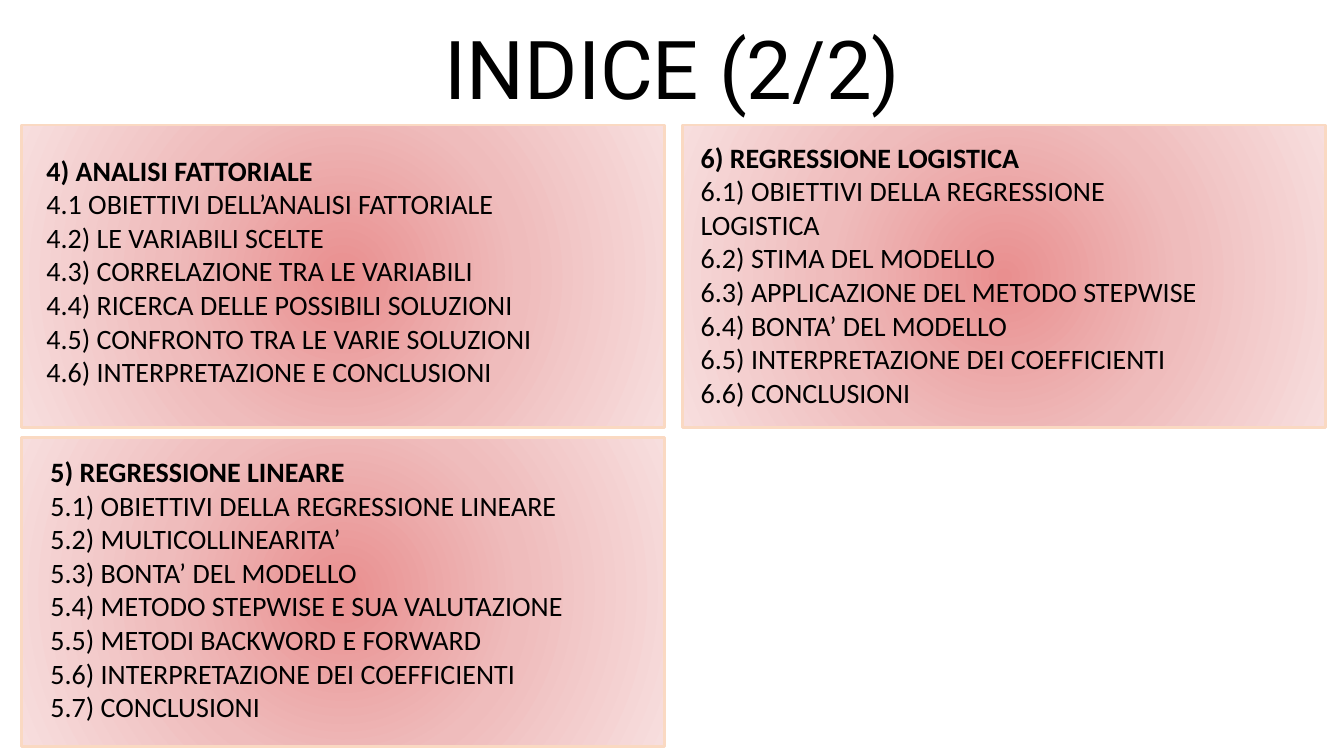
from dataclasses import dataclass

from lxml import etree
from pptx import Presentation
from pptx.dml.color import RGBColor
from pptx.enum import shapes, text
from pptx.oxml import parse_xml
from pptx.util import Inches, Pt

DRAWING_NS = 'xmlns:a="http://schemas.openxmlformats.org/drawingml/2006/main"'


@dataclass(frozen=True)
class Theme:
    ink: RGBColor = RGBColor(0, 0, 0)
    border: RGBColor = RGBColor.from_string("FAD9C2")
    glow: tuple = ((0, "E98F8F"), (50, "EFBCBC"), (100, "F7DEDE"))
    title_font: str = "Roboto"
    body_font: str = "Calibri"
    title_size: Pt = Pt(58)
    body_size: Pt = Pt(20)
    border_width: Pt = Pt(2)


THEME = Theme()
INSET = 0.05
PANEL_WIDTH = 6.38
LEFT, RIGHT = 0.21, 6.77
TOP, BOTTOM = 1.24, 4.34

# Panel box, text offset inside it, text size, lines (heading first)
CHAPTERS = [
    ((LEFT, TOP, PANEL_WIDTH, 3), (0.2, 0.23), (6.28, 2.5), [
        "4) ANALISI FATTORIALE",
        "4.1 OBIETTIVI DELL’ANALISI FATTORIALE",
        "4.2) LE VARIABILI SCELTE",
        "4.3) CORRELAZIONE TRA LE VARIABILI",
        "4.4) RICERCA DELLE POSSIBILI SOLUZIONI",
        "4.5) CONFRONTO TRA LE VARIE SOLUZIONI",
        "4.6) INTERPRETAZIONE E CONCLUSIONI",
    ]),
    ((LEFT, BOTTOM, PANEL_WIDTH, 3.07), (0.24, 0.12), (6.63, 2.77), [
        "5) REGRESSIONE LINEARE",
        "5.1) OBIETTIVI DELLA REGRESSIONE LINEARE",
        "5.2) MULTICOLLINEARITA’",
        "5.3) BONTA’ DEL MODELLO",
        "5.4) METODO STEPWISE E SUA VALUTAZIONE",
        "5.5) METODI BACKWORD E FORWARD",
        "5.6) INTERPRETAZIONE DEI COEFFICIENTI",
        "5.7) CONCLUSIONI",
    ]),
    ((RIGHT, TOP, PANEL_WIDTH, 3), (0.13, 0.1), (6.17, 2.77), [
        "6) REGRESSIONE LOGISTICA",
        "6.1) OBIETTIVI DELLA REGRESSIONE",
        "LOGISTICA",
        "6.2) STIMA DEL MODELLO",
        "6.3) APPLICAZIONE DEL METODO STEPWISE",
        "6.4) BONTA’ DEL MODELLO",
        "6.5) INTERPRETAZIONE DEI COEFFICIENTI",
        "6.6) CONCLUSIONI",
    ]),
]


def set_frame(frame, anchor):
    frame.word_wrap = True
    frame.auto_size = text.MSO_AUTO_SIZE.NONE
    frame.vertical_anchor = anchor
    frame.margin_left = frame.margin_right = Inches(INSET)
    frame.margin_top = frame.margin_bottom = Inches(INSET)


def set_font(font, name, size, bold=False):
    font.name, font.size, font.bold = name, size, bold
    font.color.rgb = THEME.ink


def fill_radial(shape):
    """Fill the shape with the theme's glow, spreading from its centre."""
    shape.fill.gradient()
    gradient = shape.fill._xPr.gradFill
    for child in list(gradient):
        gradient.remove(child)
    stops = "".join(
        f'<a:gs pos="{position * 1000}"><a:srgbClr val="{color}"/></a:gs>'
        for position, color in THEME.glow)
    gradient.append(parse_xml(f"<a:gsLst {DRAWING_NS}>{stops}</a:gsLst>"))
    gradient.append(parse_xml(
        f'<a:path {DRAWING_NS} path="circle"><a:fillToRect l="50000" t="50000" '
        'r="50000" b="50000"/></a:path>'))


def add_text_shadow(span):
    properties = span._r.get_or_add_rPr()
    effects = parse_xml(
        f'<a:effectLst {DRAWING_NS}><a:outerShdw blurRad="38100" dist="38100" '
        'dir="2700000" algn="tl"><a:srgbClr val="000000"><a:alpha val="43137"/>'
        "</a:srgbClr></a:outerShdw></a:effectLst>")
    fill = next(child for child in properties
                if etree.QName(child).localname == "solidFill")
    fill.addnext(effects)


def place_title(page, box, wording):
    title = page.shapes.title
    title.left, title.top, title.width, title.height = map(Inches, box)
    set_frame(title.text_frame, text.MSO_ANCHOR.BOTTOM)
    para = title.text_frame.paragraphs[0]
    para.alignment = text.PP_ALIGN.CENTER
    para.line_spacing = 0.9
    span = para.add_run()
    span.text = wording
    set_font(span.font, THEME.title_font, THEME.title_size)
    add_text_shadow(span)


def add_chapter(page, box, offset, text_size, lines):
    panel = page.shapes.add_shape(shapes.MSO_SHAPE.RECTANGLE, *map(Inches, box))
    panel.shadow.inherit = False
    fill_radial(panel)
    panel.line.color.rgb = THEME.border
    panel.line.width = THEME.border_width

    left, top = box[0] + offset[0], box[1] + offset[1]
    contents = page.shapes.add_textbox(*map(Inches, (left, top, *text_size)))
    frame = contents.text_frame
    set_frame(frame, text.MSO_ANCHOR.TOP)
    frame.text = "\n".join(lines)
    for index, para in enumerate(frame.paragraphs):
        set_font(para.font, THEME.body_font, THEME.body_size, bold=index == 0)


def main():
    deck = Presentation()
    deck.slide_width, deck.slide_height = Inches(13.33), Inches(7.5)
    page = deck.slides.add_slide(deck.slide_layouts.get_by_name("Title Only"))
    place_title(page, (1.51, 0, 10.32, 1.21), "INDICE (2/2)")
    for chapter in CHAPTERS:
        add_chapter(page, *chapter)
    deck.save("out.pptx")


if __name__ == "__main__":
    main()
